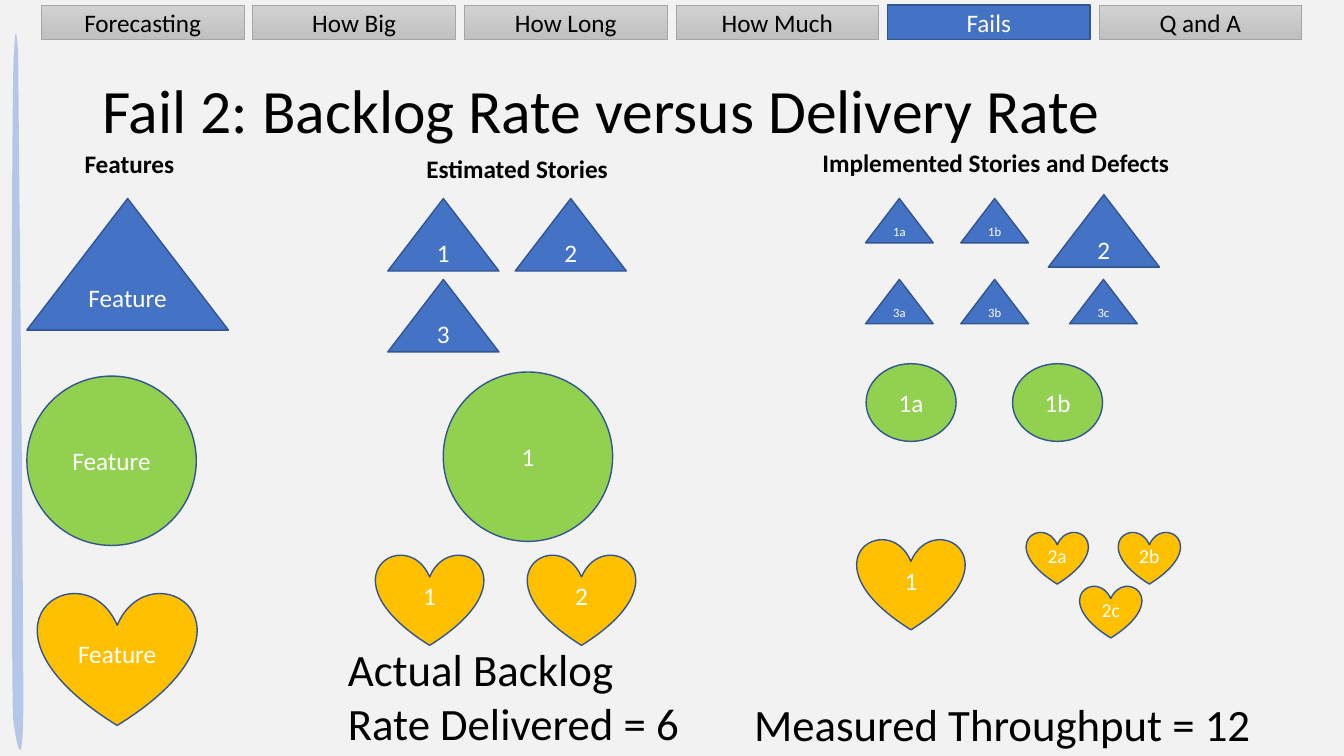
"""Build the slide on backlog rate versus delivery rate."""
import pptx
import pptx.util
import pptx.dml.color
import pptx.enum.shapes
import pptx.enum.text

Pt = pptx.util.Pt
RGB = pptx.dml.color.RGBColor.from_string
KIND = pptx.enum.shapes.MSO_SHAPE
ALIGN = pptx.enum.text.PP_ALIGN
ANCHOR = pptx.enum.text.MSO_ANCHOR

COLORS = {
    "back": "F2F2F2", "streak": "B4C7E7", "black": "000000", "white": "FFFFFF",
    "blue": "4472C4", "edge": "325491", "green": "92D050", "gold": "FFC000",
    "light": "D2D2D2", "dark": "C0C0C0", "gray": "A5A5A5",
}

deck = pptx.Presentation()
deck.slide_width, deck.slide_height = Pt(960), Pt(540)
slide = deck.slides.add_slide(deck.slide_layouts[6])
slide.background.fill.solid()
slide.background.fill.fore_color.rgb = RGB(COLORS["back"])


def write(frame, text, size=18, color="black", bold=False, align=ALIGN.LEFT,
          anchor=ANCHOR.TOP, wrap=True, space=1.0):
    frame.text = text
    frame.word_wrap = wrap
    frame.vertical_anchor = anchor
    line = frame.paragraphs[0]
    line.alignment = align
    line.line_spacing = space
    for run in line.runs:
        run.font.name = "Calibri"
        run.font.size = Pt(size)
        run.font.bold = bold
        run.font.color.rgb = RGB(COLORS[color])


def draw(kind, box, text, fill, size=18):
    shape = slide.shapes.add_shape(kind, *map(Pt, box))
    shape.shadow.inherit = False
    plain = fill == "gray"
    if plain:
        shape.fill.gradient()
        shape.fill.gradient_angle = 270
        for stop, shade in zip(shape.fill.gradient_stops, ("light", "dark")):
            stop.color.rgb = RGB(COLORS[shade])
    else:
        shape.fill.solid()
        shape.fill.fore_color.rgb = RGB(COLORS[fill])
    shape.line.color.rgb = RGB(COLORS["gray" if plain else "edge"])
    shape.line.width = Pt(0.5 if plain else 1)
    write(shape.text_frame, text, size=size, color="black" if plain else "white",
          align=ALIGN.CENTER, anchor=ANCHOR.MIDDLE, wrap=False)


start = (10.1, 38.2)
curves = [
    ((7.9, 38.2), (7.9, 496), (9.4, 513.4)),
    ((11.5, 530), (15.8, 553.7), (16.6, 513.4)),
    ((17.3, 473), (13, 51.8), (13, 38.2)),
    ((12.2, 25.2), (10.8, 14.4), start),
]
points = []
last = start
for first, second, end in curves:
    for step in range(1, 25):
        t = step / 24
        points.append(tuple(
            Pt((1 - t) ** 3 * a + 3 * (1 - t) ** 2 * t * b
               + 3 * (1 - t) * t ** 2 * c + t ** 3 * d)
            for a, b, c, d in zip(last, first, second, end)))
    last = end
pen = slide.shapes.build_freeform(Pt(start[0]), Pt(start[1]))
pen.add_line_segments(points, close=True)
streak = pen.convert_to_shape()
streak.shadow.inherit = False
streak.fill.solid()
streak.fill.fore_color.rgb = RGB(COLORS["streak"])
streak.line.fill.background()

tabs = ["Forecasting", "How Big", "How Long", "How Much", "Fails", "Q and A"]
for index, name in enumerate(tabs):
    draw(KIND.FLOWCHART_PROCESS, (29.5 + 151.1 * index, 3.6, 144.7, 24.7), name,
         "blue" if name == "Fails" else "gray")

labels = [
    ("Fail 2: Backlog Rate versus Delivery Rate", (66, 28.8, 828, 104.4),
     dict(size=44, anchor=ANCHOR.MIDDLE, space=0.9)),
    ("Features", (53.3, 102.2, 147.6, 29), dict(bold=True)),
    ("Estimated Stories", (297.4, 106.2, 147.6, 29), dict(bold=True)),
    ("Implemented Stories and Defects", (580.3, 101.8, 267, 29), dict(bold=True)),
    ("Actual Backlog\vRate Delivered = 6", (241.4, 455, 253.4, 85),
     dict(size=32, wrap=False)),
    ("Measured Throughput = 12", (531.6, 494, 373, 46), dict(size=32, wrap=False)),
]
for text, box, style in labels:
    write(slide.shapes.add_textbox(*map(Pt, box)).text_frame, text, **style)

groups = [
    (KIND.ISOSCELES_TRIANGLE, "blue", 144, 94, 18, [("Feature", 19.2, 141.8)]),
    (KIND.ISOSCELES_TRIANGLE, "blue", 79.4, 51.8, 18,
     [("1", 277, 141.8), ("2", 368, 141.8), ("3", 277, 199.6), ("2", 748.8, 139)]),
    (KIND.ISOSCELES_TRIANGLE, "blue", 48.4, 31.7, 9,
     [("1a", 618.2, 141.8), ("1b", 686.3, 141.8),
      ("3a", 618.2, 199.6), ("3b", 686.3, 199.6), ("3c", 764, 199.6)]),
    (KIND.OVAL, "green", 121, 121, 18, [("Feature", 19.2, 268.6), ("1", 316.6, 265.7)]),
    (KIND.OVAL, "green", 64.3, 55.5, 18, [("1a", 618.7, 259.8), ("1b", 723.3, 259.8)]),
    (KIND.HEART, "gold", 113.4, 95.4, 18, [("Feature", 27, 422.8)]),
    (KIND.HEART, "gold", 77, 65.2, 18,
     [("1", 268.4, 395.8), ("2", 376.9, 395.8), ("1", 612.2, 384.7)]),
    (KIND.HEART, "gold", 44.2, 37.4, 14,
     [("2a", 733.1, 379.8), ("2c", 771.3, 418.3), ("2b", 798.9, 379.8)]),
]
for kind, fill, width, height, size, items in groups:
    for text, left, top in items:
        draw(kind, (left, top, width, height), text, fill, size)

deck.save("out.pptx")
